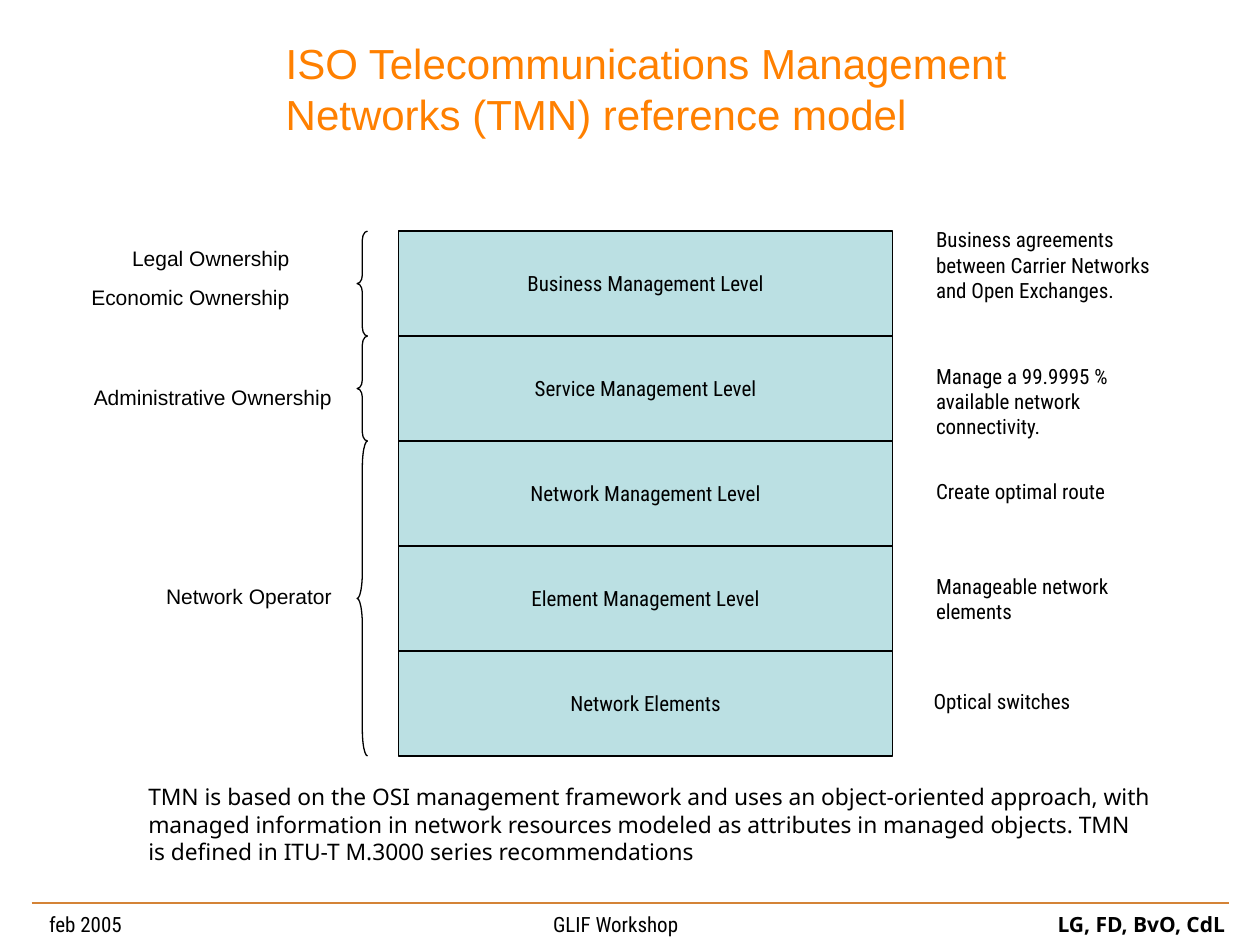
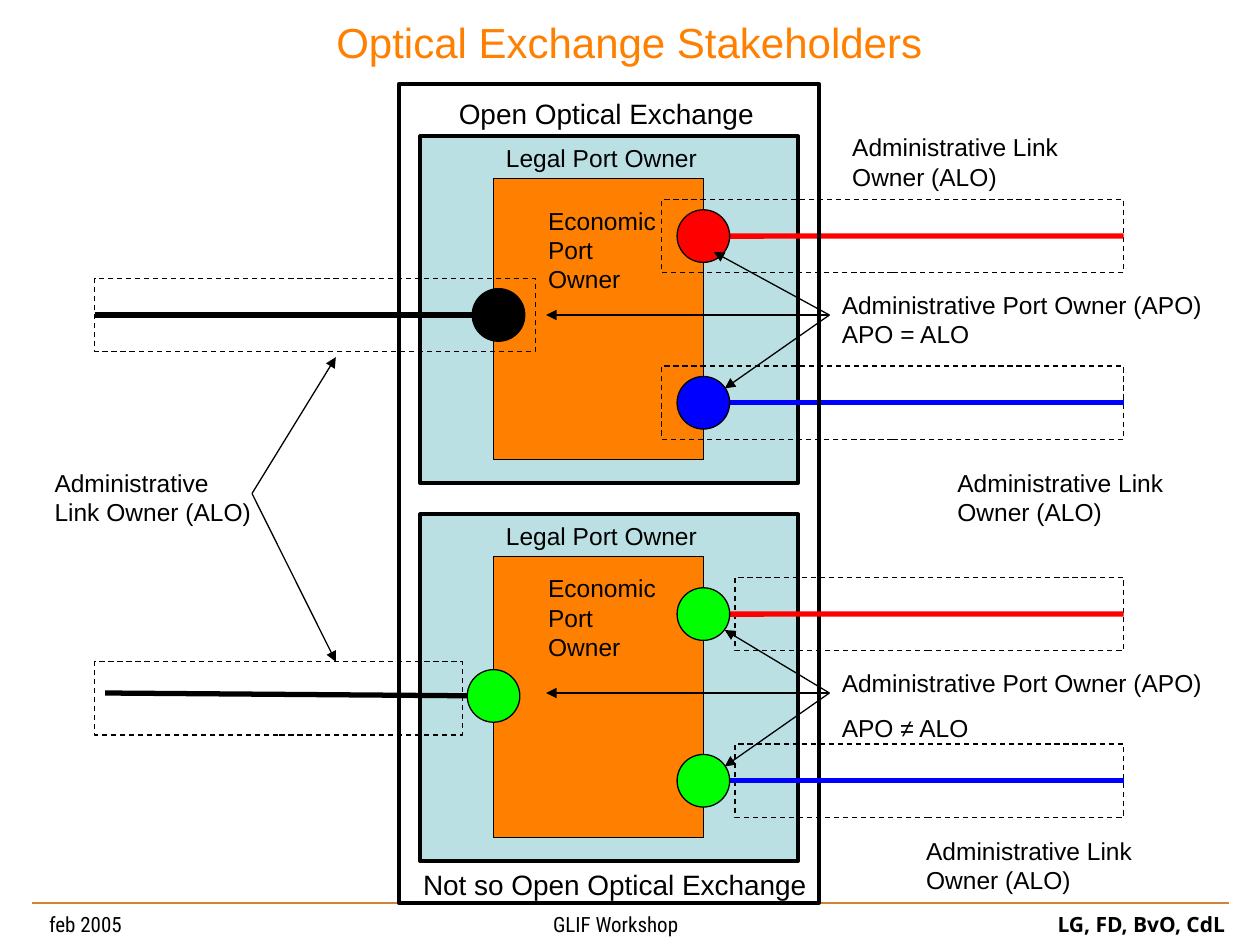
from dataclasses import dataclass
from typing import NamedTuple, Optional

from lxml import etree
from pptx import Presentation
from pptx import util as u
from pptx.dml.color import RGBColor
from pptx.enum import dml, shapes, text
from pptx.oxml import ns

BLACK = RGBColor(0x00, 0x00, 0x00)
ORANGE = RGBColor(0xFF, 0x80, 0x00)
RULE = RGBColor(0xD4, 0x83, 0x36)
TEAL = RGBColor(0xBB, 0xE0, 0xE3)
RED = RGBColor(0xFF, 0x00, 0x00)
BLUE = RGBColor(0x00, 0x00, 0xFF)
GREEN = RGBColor(0x00, 0xFF, 0x00)

SANS = "Arial"
CONDENSED = "Roboto Condensed"
HUMANIST = "Noto Sans"

LEFT = text.PP_ALIGN.LEFT
CENTER = text.PP_ALIGN.CENTER
RIGHT = text.PP_ALIGN.RIGHT
RECT = shapes.MSO_SHAPE.RECTANGLE
OVAL = shapes.MSO_SHAPE.OVAL
BRACE = shapes.MSO_SHAPE.LEFT_BRACE


class Box(NamedTuple):
    x: float
    y: float
    w: float
    h: float

    def emu(self):
        return [u.Cm(v) for v in self]


class Point(NamedTuple):
    x: float
    y: float


class Label(NamedTuple):
    box: Box
    content: str
    align: int = LEFT


@dataclass
class Level:
    name: str
    note: Label


@dataclass
class Owner:
    rows: int
    label: Label


@dataclass
class Exchange:
    dy: float
    ports: tuple
    left_port: Point
    left_port_color: RGBColor
    left_area: Box
    left_start: Optional[Point]
    link_area_x: float
    economic_y: float
    red_target_x: float
    apo: str


STACK = Box(8.04, 4.66, 9.95, 10.58)
NOTE_X, NOTE_W = 18.62, 5.23
LEVELS = [
    Level("Business Management Level", Label(
        Box(NOTE_X, 4.45, NOTE_W, 2.29),
        "Business agreements between Carrier Networks and Open Exchanges.")),
    Level("Service Management Level", Label(
        Box(NOTE_X, 7.2, NOTE_W, 1.78),
        "Manage a 99.9995 % available network connectivity.")),
    Level("Network Management Level", Label(
        Box(NOTE_X, 9.53, NOTE_W, 0.76), "Create optimal route")),
    Level("Element Management Level", Label(
        Box(NOTE_X, 11.43, NOTE_W, 1.27), "Manageable network elements")),
    Level("Network Elements", Label(
        Box(18.57, 13.76, NOTE_W, 0.76), "Optical switches")),
]
OWNERS = [
    Owner(1, Label(Box(1.06, 4.83, 5.03, 1.55),
                   "Legal Ownership\nEconomic Ownership", RIGHT)),
    Owner(1, Label(Box(0.64, 7.62, 6.3, 1.55),
                   "Administrative Ownership", RIGHT)),
    Owner(3, Label(Box(0.64, 11.64, 6.3, 1.55), "Network Operator", RIGHT)),
]

PORT_D = 1.06
PORT_X = 14.18
LINK_YS = (4.76, 8.12)
LINK_COLORS = (RED, BLUE)
LINK_END_X = 22.65
AREA_H = 1.48
FAN = Point(16.72, 6.35)

OPEN_EXCHANGE = Exchange(
    dy=0, ports=(RED, BLUE), left_port=Point(10.05, 6.35),
    left_port_color=BLACK, left_area=Box(1.91, 5.61, 8.89, AREA_H),
    left_start=None, link_area_x=13.34, economic_y=4.02, red_target_x=14.39,
    apo="Administrative Port Owner (APO) APO = ALO")
CLOSED_EXCHANGE = Exchange(
    dy=7.62, ports=(GREEN, GREEN), left_port=Point(9.95, 14.03),
    left_port_color=GREEN, left_area=Box(1.91, 13.34, 7.41, AREA_H),
    left_start=Point(2.12, 13.97), link_area_x=14.82, economic_y=11.43,
    red_target_x=14.61, apo="Administrative Port Owner (APO)\nAPO ≠ ALO")

LINK_OWNER = "Administrative Link Owner (ALO)"
LINK_OWNER_LABELS = [
    Label(Box(x, y, 5.5, 1.45), LINK_OWNER)
    for x, y in ((16.93, 2.54), (19.05, 9.31), (18.42, 16.72))
] + [Label(Box(0.85, 9.31, 4.88, 1.45), "Administrative\nLink Owner (ALO)")]


def write(tf, content: str, *, size=14, font=SANS, color=BLACK, align=LEFT,
          gap=0.0, wrap=True) -> None:
    tf.word_wrap = wrap
    for i, line in enumerate(content.split("\n")):
        p = tf.add_paragraph() if i else tf.paragraphs[0]
        p.alignment = align
        if i and gap:
            p.space_before = u.Pt(gap)
        r = p.add_run()
        r.text = line
        r.font.size = u.Pt(size)
        r.font.name = font
        r.font.color.rgb = color


def add_text(s, label: Label, **fmt):
    sp = s.shapes.add_textbox(*label.box.emu())
    write(sp.text_frame, label.content, align=label.align, **fmt)
    return sp


def add_shape(s, kind, box: Box, *, fill=None, width=0.75, dash=False):
    sp = s.shapes.add_shape(kind, *box.emu())
    sp.shadow.inherit = False
    if fill is None:
        sp.fill.background()
    else:
        sp.fill.solid()
        sp.fill.fore_color.rgb = fill
    sp.line.color.rgb = BLACK
    sp.line.width = u.Pt(width)
    if dash:
        sp.line.dash_style = dml.MSO_LINE.DASH
    return sp


def add_line(s, start: Point, end: Point, *, color=BLACK, width=0.75,
             arrow=False):
    c = s.shapes.add_connector(
        shapes.MSO_CONNECTOR.STRAIGHT, *[u.Cm(v) for v in (*start, *end)])
    c.line.color.rgb = color
    c.line.width = u.Pt(width)
    if arrow:
        etree.SubElement(c.line._get_or_add_ln(), ns.qn("a:tailEnd"),
                         type="triangle")
    etree.SubElement(c._element.spPr, ns.qn("a:effectLst"))
    return c


def add_footer(s) -> None:
    add_line(s, Point(0.64, 18.2), Point(24.77, 18.2), color=RULE, width=1)
    sp = s.shapes.add_textbox(*Box(0.74, 18.26, 24.36, 0.76).emu())
    tf = sp.text_frame
    p = tf.paragraphs[0]
    tabs = etree.SubElement(p._p.get_or_add_pPr(), ns.qn("a:tabLst"))
    for x in (10.16, 20.33):
        etree.SubElement(tabs, ns.qn("a:tab"), pos=str(u.Cm(x)), algn="l")
    write(tf, "feb 2005\tGLIF Workshop\t", size=12, font=CONDENSED)
    r = p.add_run()
    r.text = "LG, FD, BvO, CdL"
    r.font.size = u.Pt(12)
    r.font.name = HUMANIST
    r.font.bold = True
    r.font.color.rgb = BLACK


def add_slide(prs, title: Label):
    s = prs.slides.add_slide(prs.slide_layouts[6])
    add_text(s, title, size=24, color=ORANGE, wrap=False)
    add_footer(s)
    return s


def add_port(s, center: Point, color: RGBColor) -> None:
    half = PORT_D / 2
    add_shape(s, OVAL, Box(center.x - half, center.y - half, PORT_D, PORT_D),
              fill=color)


def add_exchange(s, ex: Exchange) -> None:
    add_shape(s, RECT, Box(8.47, 2.75 + ex.dy, 7.62, 6.99), fill=TEAL, width=2.25)
    add_shape(s, RECT, Box(9.95, 3.6 + ex.dy, 4.23, 5.66), fill=ORANGE)
    add_text(s, Label(Box(9.95, 2.75 + ex.dy, 4.8, 0.86), "Legal Port Owner"))
    add_text(s, Label(Box(10.8, ex.economic_y, 2.96, 2.03), "Economic Port Owner"))
    add_text(s, Label(Box(FAN.x, 5.72 + ex.dy, 8.68, 1.75), ex.apo), gap=8.8)

    for base_y, link_color, port_color in zip(LINK_YS, LINK_COLORS, ex.ports):
        y = base_y + ex.dy
        area = add_shape(s, RECT, Box(ex.link_area_x, y - AREA_H / 2,
                                      LINK_END_X - ex.link_area_x, AREA_H), dash=True)
        link = add_line(s, Point(14.61, y), Point(LINK_END_X, y),
                        color=link_color, width=3)
        link.end_connect(area, 3)
        add_port(s, Point(PORT_X, y), port_color)

    area = add_shape(s, RECT, ex.left_area, dash=True)
    start = ex.left_start or Point(ex.left_area.x, ex.left_port.y)
    link = add_line(s, start, Point(9.95, ex.left_port.y), width=3)
    if ex.left_start is None:
        link.begin_connect(area, 1)
    add_port(s, ex.left_port, ex.left_port_color)

    for x, y in ((ex.red_target_x, 5.08), (14.61, 7.83), (11.01, FAN.y)):
        add_line(s, Point(FAN.x, FAN.y + ex.dy), Point(x, y + ex.dy), arrow=True)


def build_reference_model(prs) -> None:
    s = add_slide(prs, Label(
        Box(5.51, 0.64, 15.14, 2.29),
        "ISO Telecommunications Management\nNetworks (TMN) reference model"))
    row_h = STACK.h / len(LEVELS)
    for i, level in enumerate(LEVELS):
        sp = add_shape(s, RECT, Box(STACK.x, STACK.y + i * row_h, STACK.w, row_h),
                       fill=TEAL)
        tf = sp.text_frame
        tf.vertical_anchor = text.MSO_ANCHOR.MIDDLE
        write(tf, level.name, size=12, font=CONDENSED, align=CENTER, wrap=False)
        add_text(s, level.note, size=12, font=CONDENSED)

    y, brace_w = STACK.y, 0.21
    for owner in OWNERS:
        h = owner.rows * row_h
        brace = add_shape(s, BRACE, Box(7.2, y, brace_w, h))
        brace.adjustments[0] = h / brace_w / 12
        add_text(s, owner.label, size=12, gap=7.5)
        y += h

    add_text(s, Label(
        Box(2.74, 15.66, 20.68, 1.9),
        "TMN is based on the OSI management framework and uses an "
        "object-oriented approach, with managed information in network "
        "resources modeled as attributes in managed objects. TMN is defined "
        "in ITU-T M.3000 series recommendations"), size=13, font=HUMANIST)


def build_stakeholders(prs) -> None:
    s = add_slide(prs, Label(Box(6.53, 0.21, 12.32, 1.27),
                             "Optical Exchange Stakeholders"))
    add_exchange(s, OPEN_EXCHANGE)
    add_shape(s, RECT, Box(8.04, 1.69, 8.47, 16.51), width=2.25)
    add_exchange(s, CLOSED_EXCHANGE)
    for label in (
        Label(Box(9, 1.83, 6.45, 0.94), "Open Optical Exchange"),
        Label(Box(8.28, 17.36, 8.23, 0.94), "Not so Open Optical Exchange"),
    ):
        add_text(s, label, size=16, wrap=False)
    for label in LINK_OWNER_LABELS:
        add_text(s, label)
    for y in (7.2, 13.34):
        add_line(s, Point(5.08, 9.95), Point(6.77, y), arrow=True)


def main() -> None:
    prs = Presentation()
    prs.slide_width = u.Cm(25.4)
    prs.slide_height = u.Cm(19.05)
    build_reference_model(prs)
    build_stakeholders(prs)
    prs.save("out.pptx")


if __name__ == "__main__":
    main()
